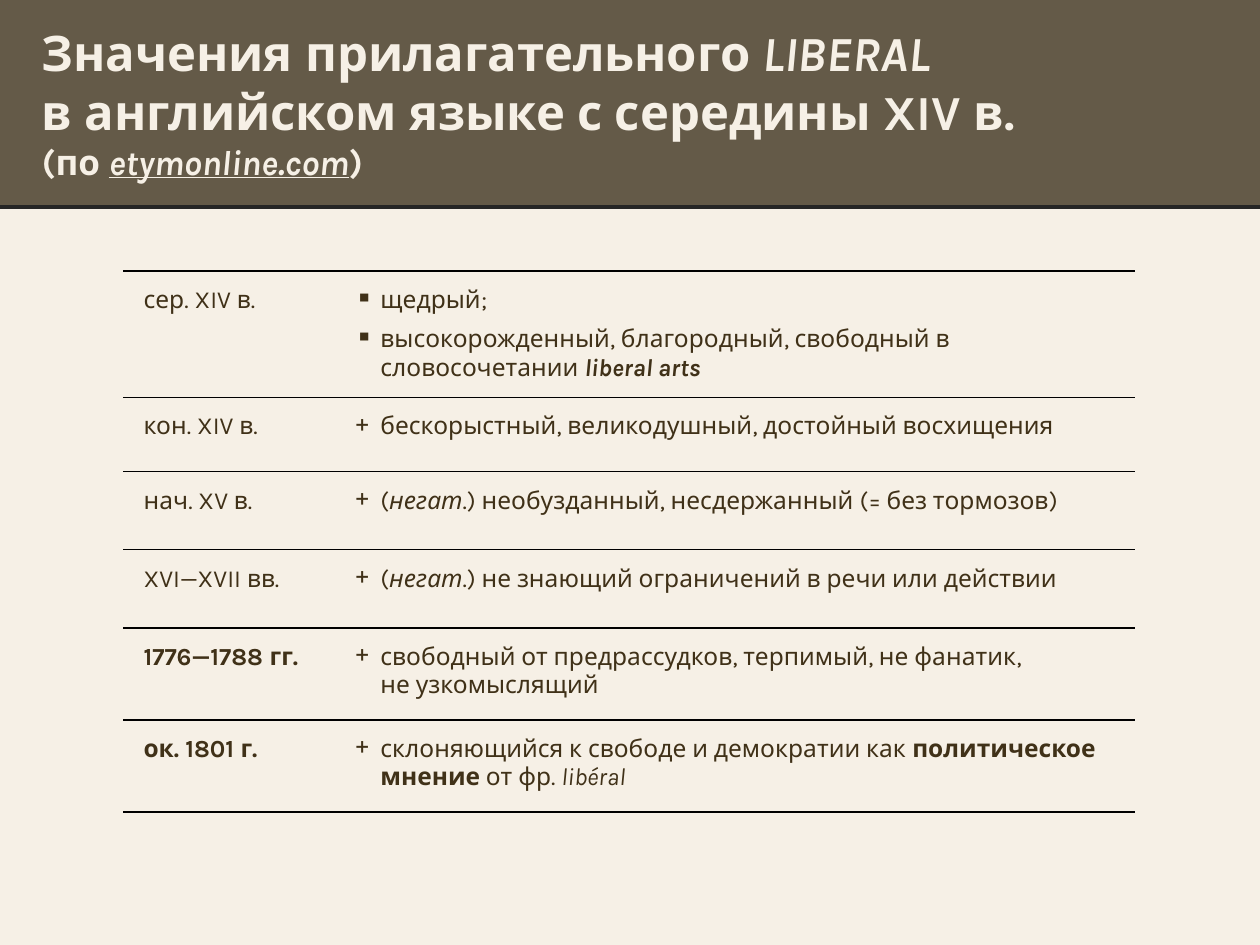
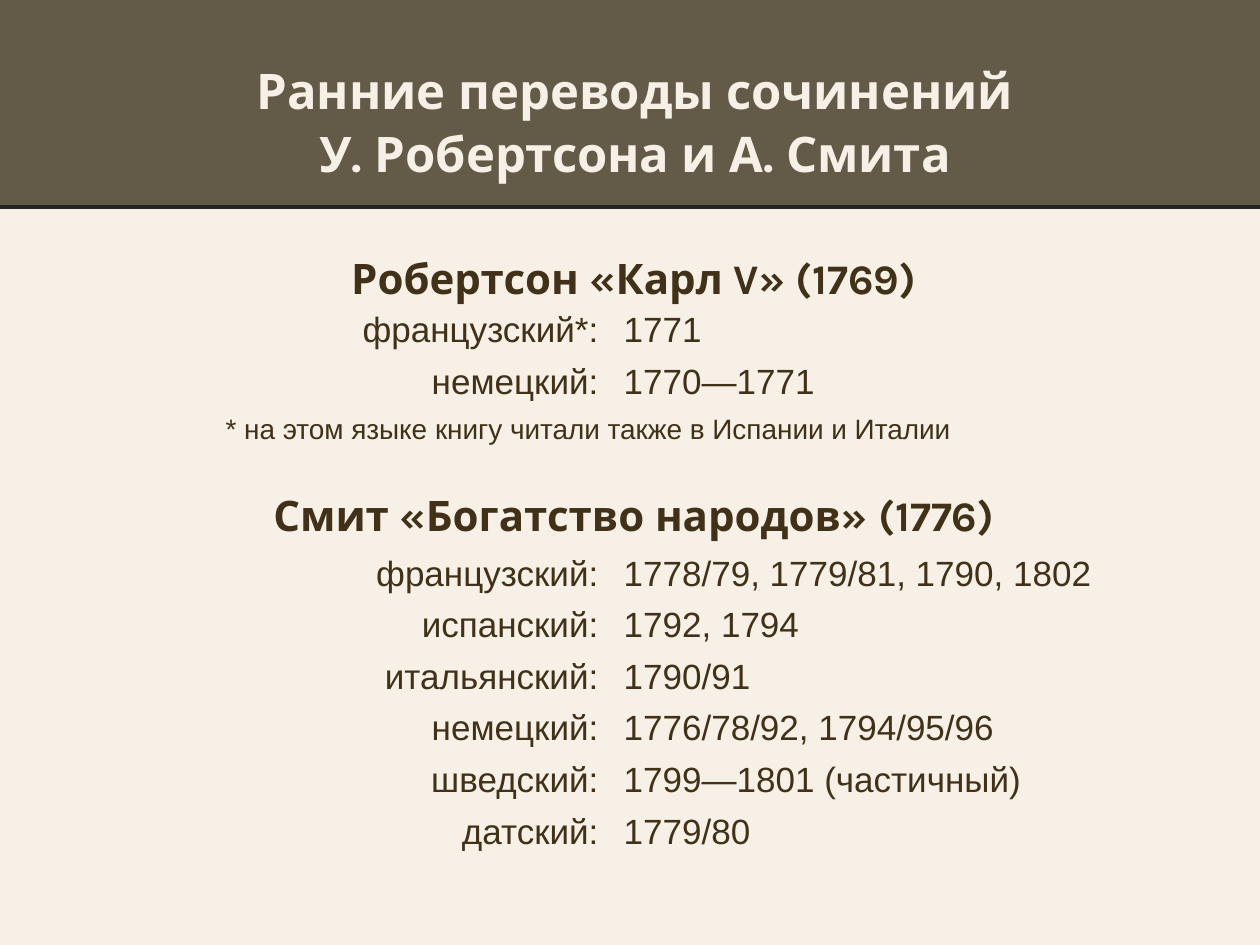
from copy import deepcopy
from dataclasses import dataclass

from lxml import etree
from pptx import Presentation
from pptx.dml.color import RGBColor
from pptx.enum.shapes import MSO_CONNECTOR, MSO_SHAPE
from pptx.enum.text import MSO_ANCHOR, MSO_AUTO_SIZE, PP_ALIGN
from pptx.oxml.ns import qn
from pptx.util import Pt

EMU_PER_PX = 9144  # 100 px to the inch
COLORS = {"paper": "F6F0E6", "band": "645A48", "rule": "262626",
          "ink": "403118", "border": "000000"}
PLAIN_TABLE = "{2D5ABB26-0587-4C30-8999-92F81FD0307C}"
LEFT, CENTER, RIGHT = PP_ALIGN.LEFT, PP_ALIGN.CENTER, PP_ALIGN.RIGHT


@dataclass(frozen=True)
class Style:
    font: str
    size: int
    color: str
    bold: bool = False


@dataclass(frozen=True)
class Run:
    text: str
    bold: bool | None = None
    italic: bool = False
    underline: bool = False
    size: int | None = None


@dataclass(frozen=True)
class Para:
    runs: tuple[Run, ...]
    align: PP_ALIGN = LEFT
    before: int = 0
    after: int = 0
    line: int | None = None
    bullet: str = ""


@dataclass(frozen=True)
class Cell:
    paras: tuple[Para, ...]
    margins: tuple[int, int, int, int]  # left, top, right, bottom


@dataclass(frozen=True)
class Grid:
    left: int
    top: int
    cols: tuple[int, ...]
    heights: tuple[int, ...]
    rows: list[list[Cell]]
    style: Style
    ruled: bool = False


TITLE = Style("Karla", 28, "paper", True)
HEADING = Style("Karla", 24, "ink", True)
MEANING = Style("Karla", 14, "ink")
EDITION = Style("Arial", 20, "ink")


def px(n: int) -> int:
    return n * EMU_PER_PX


def rgb(name: str) -> RGBColor:
    return RGBColor.from_string(COLORS[name])


def set_all(obj, values: dict) -> None:
    for name, value in values.items():
        setattr(obj, name, value)


# Text
def add_run(p, run: Run, style: Style) -> None:
    for i, line in enumerate(run.text.split("\n")):
        if i:
            p.add_line_break()
            p._p[-1].append(deepcopy(r._r.rPr))
        if line:
            r = p.add_run()
            r.text = line
            set_all(r.font, {
                "name": style.font, "size": Pt(run.size or style.size),
                "bold": style.bold if run.bold is None else run.bold,
                "italic": run.italic, "underline": run.underline})
            r.font.color.rgb = rgb(style.color)


def write(tf, paras: tuple[Para, ...], style: Style) -> None:
    for i, para in enumerate(paras):
        p = tf.add_paragraph() if i else tf.paragraphs[0]
        pPr = p._p.get_or_add_pPr()
        indent = px(20) if para.bullet else 0
        pPr.set("marL", str(indent))
        pPr.set("indent", str(-indent))
        if para.bullet:
            etree.SubElement(pPr, qn("a:buChar"), char=para.bullet)
        else:
            etree.SubElement(pPr, qn("a:buNone"))
        set_all(p, {"alignment": para.align, "space_before": Pt(para.before),
                    "space_after": Pt(para.after),
                    "line_spacing": Pt(para.line) if para.line else 1.0})
        for run in para.runs:
            add_run(p, run, style)


def fill_placeholder(sp, box: tuple[int, int, int, int], anchor,
                     paras: tuple[Para, ...], style: Style) -> None:
    set_all(sp, dict(zip(("left", "top", "width", "height"), map(px, box))))
    tf = sp.text_frame
    set_all(tf, {"word_wrap": True, "auto_size": MSO_AUTO_SIZE.NONE,
                 "vertical_anchor": anchor})
    set_all(tf, {f"margin_{side}": px(10)
                 for side in ("left", "top", "right", "bottom")})
    write(tf, paras, style)


# Tables
def rule_cell(cell) -> None:
    tcPr = cell._tc.get_or_add_tcPr()
    for i, side in enumerate(("a:lnT", "a:lnB")):
        ln = etree.Element(qn(side), w=str(Pt(1)))
        fill = etree.SubElement(ln, qn("a:solidFill"))
        etree.SubElement(fill, qn("a:srgbClr"), val=COLORS["border"])
        tcPr.insert(i, ln)


def add_grid(s, grid: Grid) -> None:
    frame = s.shapes.add_table(
        len(grid.heights), len(grid.cols), px(grid.left), px(grid.top),
        px(sum(grid.cols)), px(sum(grid.heights)))
    tbl = frame.table
    set_all(tbl, {"first_row": False, "horz_banding": False})
    tbl._tbl.tblPr.find(qn("a:tableStyleId")).text = PLAIN_TABLE
    for col, width in zip(tbl.columns, grid.cols):
        col.width = px(width)
    for r, (height, cells) in enumerate(zip(grid.heights, grid.rows)):
        tbl.rows[r].height = px(height)
        if len(cells) < len(grid.cols):
            tbl.cell(r, 0).merge(tbl.cell(r, len(grid.cols) - 1))
        for c, content in enumerate(cells):
            cell = tbl.cell(r, c)
            cell.fill.background()
            sides = ("margin_left", "margin_top", "margin_right", "margin_bottom")
            set_all(cell, dict(zip(sides, map(px, content.margins))))
            write(cell.text_frame, content.paras, grid.style)
            if grid.ruled:
                rule_cell(cell)


# Shared slide frame: paper, title band and its rule
def add_slide(prs, layout: int):
    s = prs.slides.add_slide(prs.slide_layouts[layout])
    s.background.fill.solid()
    s.background.fill.fore_color.rgb = rgb("paper")
    band = s.shapes.add_shape(MSO_SHAPE.RECTANGLE, 0, 0, px(1000), px(164))
    band.shadow.inherit = False
    band.fill.solid()
    band.fill.fore_color.rgb = rgb("band")
    band.line.fill.background()
    rule = s.shapes.add_connector(MSO_CONNECTOR.STRAIGHT, 0, px(164), px(1000), px(164))
    rule.line.color.rgb = rgb("rule")
    rule.line.width = Pt(2.25)
    etree.SubElement(rule._element.spPr, qn("a:effectLst"))
    for i, sp in enumerate((band, rule)):
        s.shapes._spTree.insert(2 + i, sp._element)
    return s


def meaning_row(period: str, *senses: tuple[Run, ...], bold: bool = False,
                bullet: str = "+") -> list[Cell]:
    after = 6 if len(senses) == 1 else 0
    items = tuple(Para(runs, before=6 if i else 0, after=after, bullet=bullet)
                  for i, runs in enumerate(senses))
    return [Cell((Para((Run(period, bold=bold),), after=6),), (16, 12, 12, 12)),
            Cell(items, (12, 12, 12, 12))]


def edition_row(language: str, years: str) -> list[Cell]:
    return [Cell((Para((Run(text),), align),), (10, 4, 10, 4))
            for text, align in ((language + ":", RIGHT), (years, LEFT))]


def edition_grid(top: int, rows: list[list[Cell]]) -> Grid:
    return Grid(90, top, (395, 395), (41,) * len(rows), rows, EDITION)


# Slide 1: meanings of the adjective
def meanings_slide(prs) -> None:
    s = add_slide(prs, 5)
    title = Para((Run("Значения прилагательного "), Run("LIBERAL\n", italic=True),
                  Run("в английском языке с середины XIV в.\n"),
                  Run("(по ", size=20),
                  Run("etymonline.com", italic=True, underline=True, size=20),
                  Run(")", size=20)))
    fill_placeholder(s.shapes.title, (23, 13, 952, 142), MSO_ANCHOR.BOTTOM,
                     (title,), TITLE)
    negative = (Run("("), Run("негат", italic=True))
    rows = [
        meaning_row("сер. XIV в.", (Run("щедрый;"),),
                    (Run("высокорожденный, благородный, свободный в словосочетании "),
                     Run("liberal arts", bold=True, italic=True)), bullet="▪"),
        meaning_row("кон. XIV в.",
                    (Run("бескорыстный, великодушный, достойный восхищения"),)),
        meaning_row("нач. XV в.", negative + (
            Run(".) необузданный, несдержанный (= без тормозов)"),)),
        meaning_row("XVI—XVII вв.", negative + (
            Run(".) не знающий ограничений в речи или действии"),)),
        meaning_row("1776—1788 гг.",
                    (Run("свободный от предрассудков, терпимый, не фанатик,\n"
                         "не узкомыслящий"),), bold=True),
        meaning_row("ок. 1801 г.",
                    (Run("склоняющийся к свободе и демократии как "),
                     Run("политическое мнение", bold=True), Run(" от фр. "),
                     Run("libéral", italic=True)), bold=True),
    ]
    add_grid(s, Grid(98, 215, (172, 631), (100, 59, 62, 62, 73, 73), rows,
                     MEANING, ruled=True))


# Slide 2: early translations
def translations_slide(prs) -> None:
    s = add_slide(prs, 1)
    title = Para((Run("Ранние переводы сочинений\nУ. Робертсона и А. Смита"),),
                 CENTER, line=36)
    fill_placeholder(s.shapes.title, (52, 30, 904, 125), MSO_ANCHOR.BOTTOM,
                     (title,), TITLE)
    headings = (Para((Run("Робертсон «Карл V» (1769)"),), CENTER),
                Para((Run("Смит «Богатство народов» (1776)"),), CENTER, before=107))
    fill_placeholder(s.placeholders[1], (53, 190, 900, 518), MSO_ANCHOR.TOP,
                     headings, HEADING)
    footnote = Run("* на этом языке книгу читали также в Испании и Италии", size=16)
    add_grid(s, edition_grid(243, [
        edition_row("французский*", "1771"),
        edition_row("немецкий", "1770—1771"),
        [Cell((Para((footnote,), after=6),), (89, 4, 10, 4))],
    ]))
    add_grid(s, edition_grid(436, [
        edition_row("французский", "1778/79, 1779/81, 1790, 1802"),
        edition_row("испанский", "1792, 1794"),
        edition_row("итальянский", "1790/91"),
        edition_row("немецкий", "1776/78/92, 1794/95/96"),
        edition_row("шведский", "1799—1801 (частичный)"),
        edition_row("датский", "1779/80"),
    ]))


def main() -> None:
    prs = Presentation()
    set_all(prs, {"slide_width": px(1000), "slide_height": px(750)})
    meanings_slide(prs)
    translations_slide(prs)
    prs.save("out.pptx")


if __name__ == "__main__":
    main()
